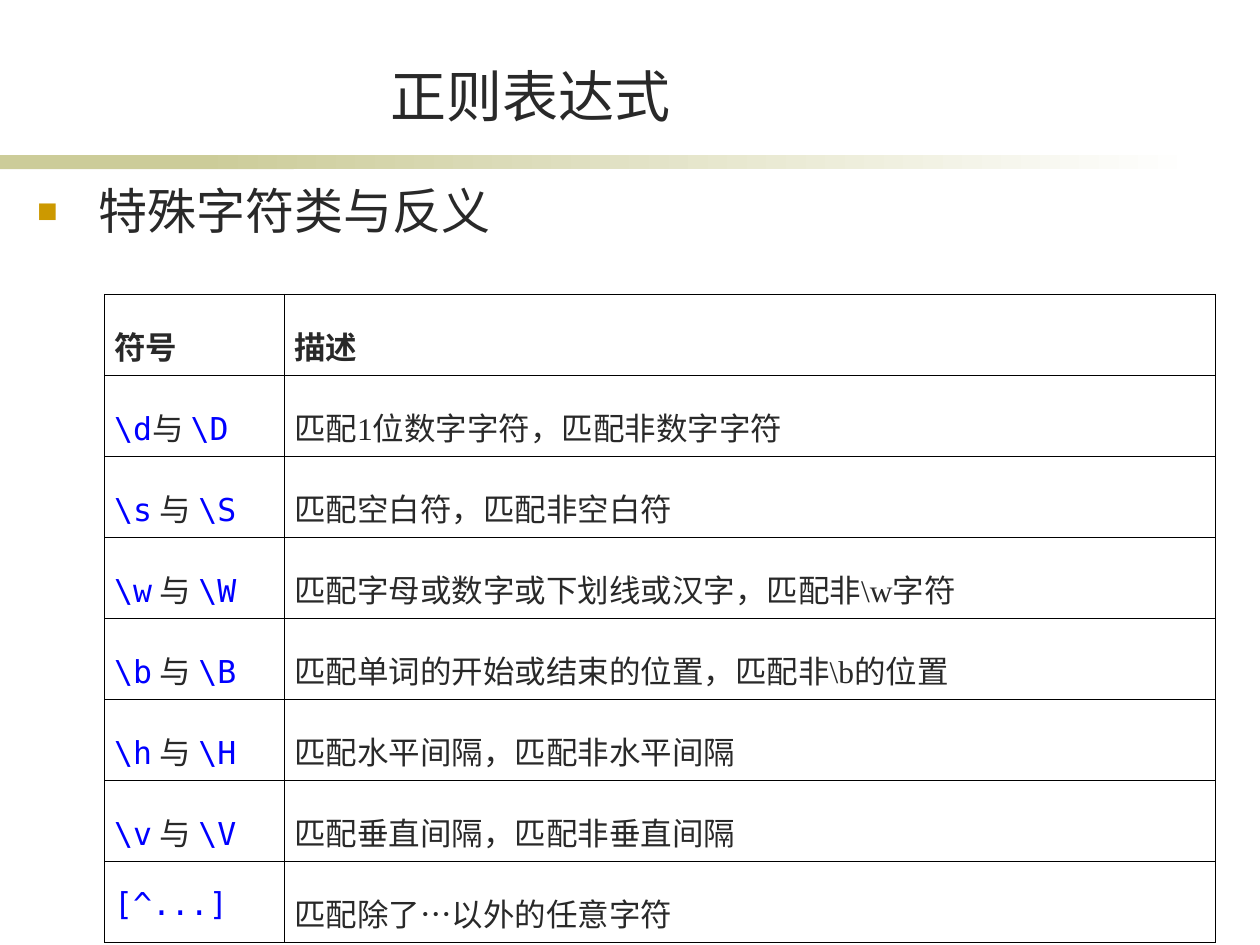
from lxml import etree
from pptx import Presentation
from pptx import util as u
from pptx.dml import color
from pptx.enum import shapes, text
from pptx.oxml import parse_xml
from pptx.oxml.ns import nsdecls, qn

BODY, CODE, SAND, BULLET, WHITE = "292929", "0000FF", "CCCC99", "CC9900", "FFFFFF"
SERIF, MONO, SANS = "Times New Roman", "DejaVu Sans Mono", "Arial"


def rgb(value):
    return color.RGBColor.from_string(value)


def apply(target, values):
    for name, value in values.items():
        setattr(target, name, value)


class Deck:
    def __init__(self, width, height):
        self.prs = Presentation()
        apply(self.prs, {"slide_width": u.Cm(width), "slide_height": u.Cm(height)})
        self.slide = self.prs.slides.add_slide(self.prs.slide_layouts[5])

    def run(self, paragraph, words, size, font, ink, bold=False):
        run = paragraph.add_run()
        run.text = words
        apply(run.font, {"size": u.Pt(size), "name": font, "bold": bold})
        run.font.color.rgb = rgb(ink)

    def title(self, words, left, top, width, height):
        heading = self.slide.shapes.title
        apply(heading, {"left": u.Cm(left), "top": u.Cm(top),
                        "width": u.Cm(width), "height": u.Cm(height)})
        apply(heading.text_frame, {"word_wrap": True,
                                   "auto_size": text.MSO_AUTO_SIZE.NONE,
                                   "vertical_anchor": text.MSO_ANCHOR.BOTTOM})
        paragraph = heading.text_frame.paragraphs[0]
        paragraph.alignment = text.PP_ALIGN.CENTER
        self.run(paragraph, words, 32, SANS, BODY)

    def bar(self, left, top, width, height, fade=False):
        bar = self.slide.shapes.add_shape(
            shapes.MSO_SHAPE.RECTANGLE, *map(u.Cm, (left, top, width, height)))
        bar.shadow.inherit = False
        bar.line.fill.background()
        if fade:
            bar.fill.gradient()
            bar.fill.gradient_angle = 0
            for stop, position, tint in zip(bar.fill.gradient_stops, (0, 1), (SAND, WHITE)):
                stop.position = position
                stop.color.rgb = rgb(tint)
        else:
            bar.fill.solid()
            bar.fill.fore_color.rgb = rgb(SAND)

    def bullet(self, words, left, top, width, height):
        box = self.slide.shapes.add_textbox(*map(u.Cm, (left, top, width, height)))
        box.text_frame.word_wrap = True
        paragraph = box.text_frame.paragraphs[0]
        props = paragraph._p.get_or_add_pPr()
        props.set("marL", str(u.Cm(1.24)))
        props.set("indent", str(u.Cm(-1.24)))
        tint = etree.SubElement(props, qn("a:buClr"))
        etree.SubElement(tint, qn("a:srgbClr"), val=BULLET)
        etree.SubElement(props, qn("a:buSzPct"), val="70000")
        etree.SubElement(props, qn("a:buFont"), typeface=SANS)
        etree.SubElement(props, qn("a:buChar"), char="■")
        self.run(paragraph, words, 28, SANS, BODY)

    def cell(self, cell, runs):
        props = cell._tc.get_or_add_tcPr()
        for side in "LRTB":
            props.append(parse_xml(
                f'<a:ln{side} {nsdecls("a")} w="{u.Pt(0.45)}"><a:solidFill>'
                f'<a:srgbClr val="000000"/></a:solidFill></a:ln{side}>'))
        cell.fill.background()
        apply(cell, {"margin_left": u.Cm(0.19), "margin_right": u.Cm(0.19),
                     "margin_top": u.Cm(0.13), "margin_bottom": u.Cm(0.13)})
        paragraph = cell.text_frame.paragraphs[0]
        paragraph.line_spacing = 1.5
        for words, font, ink, bold in runs:
            self.run(paragraph, words, 18, font, ink, bold)

    def table(self, rows, left, top, widths, row_height):
        frame = self.slide.shapes.add_table(
            len(rows), len(widths), u.Cm(left), u.Cm(top),
            u.Cm(sum(widths)), u.Cm(row_height * len(rows)))
        grid = frame.table
        apply(grid, {"first_row": False, "horz_banding": False})
        for column, width in zip(grid.columns, widths):
            column.width = u.Cm(width)
        for row, contents in zip(grid.rows, rows):
            row.height = u.Cm(row_height)
            for cell, runs in zip(row.cells, contents):
                self.cell(cell, runs)


def plain(words, bold=False):
    return words, SERIF, BODY, bold


def code(words):
    return words, MONO, CODE, False


def main():
    pairs = [
        ("\\d", "与 ", "\\D", "匹配1位数字字符，匹配非数字字符"),
        ("\\s", " 与 ", "\\S", "匹配空白符，匹配非空白符"),
        ("\\w", " 与 ", "\\W", "匹配字母或数字或下划线或汉字，匹配非\\w字符"),
        ("\\b", " 与 ", "\\B", "匹配单词的开始或结束的位置，匹配非\\b的位置"),
        ("\\h", " 与 ", "\\H", "匹配水平间隔，匹配非水平间隔"),
        ("\\v", " 与 ", "\\V", "匹配垂直间隔，匹配非垂直间隔"),
    ]
    rows = [[[plain("符号", True)], [plain("描述", True)]]]
    rows += [[[code(symbol), plain(joiner), code(opposite)], [plain(meaning)]]
             for symbol, joiner, opposite, meaning in pairs]
    rows.append([[code("[^...]")], [plain("匹配除了…以外的任意字符")]])

    deck = Deck(25.4, 19.05)
    deck.bar(0, 3.13, 5.92, 0.28)
    deck.bar(4.01, 3.13, 20.12, 0.28, fade=True)
    deck.title("正则表达式", 2.9, 1.12, 15.6, 1.6)
    deck.bullet("特殊字符类与反义", 0.5, 3.52, 24, 13)
    deck.table(rows, 2.11, 5.93, (3.63, 18.76), 1.633)
    deck.prs.save("out.pptx")


if __name__ == "__main__":
    main()
